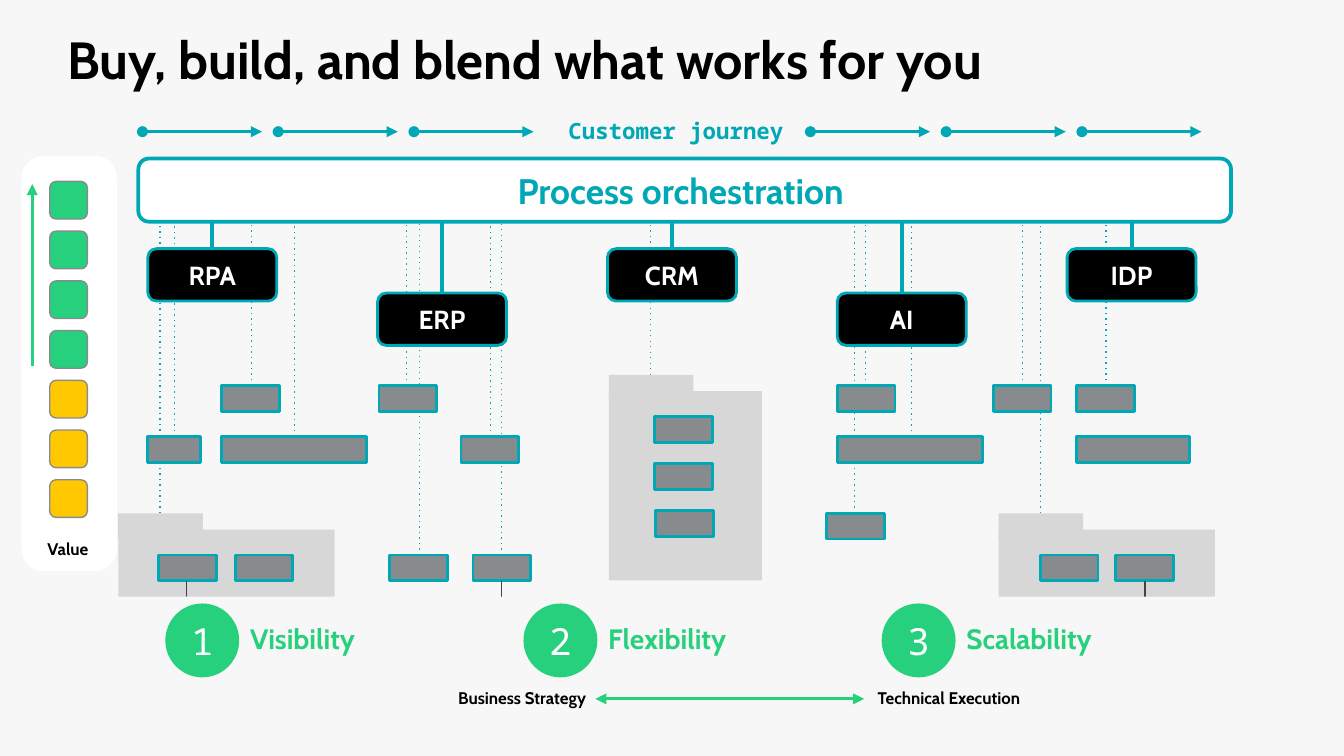
import collections
import lxml.etree
import pptx
import pptx.dml.color
import pptx.enum.shapes
import pptx.enum.text
import pptx.oxml.ns
import pptx.util

COLORS = {
    "page": "F7F7F7", "teal": "00A7B5", "green": "26D07C", "yellow": "FFC800",
    "gray": "888B8D", "folder": "D7D7D7", "dark": "434343",
    "white": "FFFFFF", "black": "000000",
}
SANS, MONO = "Cabin", "Noto Sans Mono"
CELL = 0.1
SHAPES = pptx.enum.shapes.MSO_SHAPE
LINES = pptx.enum.shapes.MSO_CONNECTOR
ALIGN = pptx.enum.text.PP_ALIGN
ANCHOR = pptx.enum.text.MSO_ANCHOR
Box = collections.namedtuple("Box", "left top width height")


def cells(count):
    return pptx.util.Inches(count * CELL)


def color(name):
    return pptx.dml.color.RGBColor.from_string(COLORS[name])


def inside(box, left, top, width, height):
    return Box(box.left + left, box.top + top, width, height)


def write(shape, text, size, ink, font=SANS, bold=True, align=ALIGN.CENTER,
          anchor=ANCHOR.TOP, insets=(0, 0), spacing=None):
    frame = shape.text_frame
    frame.word_wrap = True
    frame.auto_size = pptx.enum.text.MSO_AUTO_SIZE.NONE
    frame.vertical_anchor = anchor
    frame.margin_left = frame.margin_right = cells(insets[0])
    frame.margin_top = frame.margin_bottom = cells(insets[1])
    para = frame.paragraphs[0]
    para.alignment = align
    if spacing:
        para.line_spacing = spacing
    span = para.add_run()
    span.text = text
    span.font.name = font
    span.font.size = pptx.util.Pt(size)
    span.font.bold = bold
    span.font.color.rgb = color(ink)


def add_label(page, box, text, size, ink, **style):
    label = page.shapes.add_textbox(*map(cells, box))
    style = {"insets": (0.7, 0.4), "spacing": 0.85, **style}
    write(label, text, size, ink, **style)


def add_block(page, kind, box, fill, outline=None, weight=1.5, corner=None):
    block = page.shapes.add_shape(kind, *map(cells, box))
    block.shadow.inherit = False
    block.fill.solid()
    block.fill.fore_color.rgb = color(fill)
    if outline:
        block.line.color.rgb = color(outline)
        block.line.width = pptx.util.Pt(weight)
    else:
        block.line.fill.background()
    if corner:
        block.adjustments[0] = corner
    return block


def add_line(page, box, start, end, ink, weight, kind=LINES.STRAIGHT,
             dash=None, head=None, tail=None):
    ends = [cells(side + step) for point in (start, end)
            for side, step in zip((box.left, box.top), point)]
    line = page.shapes.add_connector(kind, *ends)
    line.line.color.rgb = color(ink)
    line.line.width = pptx.util.Pt(weight)
    outline = line.get_or_add_ln()
    details = (("a:prstDash", "val", dash), ("a:headEnd", "type", head),
               ("a:tailEnd", "type", tail))
    for tag, key, value in details:
        if value:
            lxml.etree.SubElement(outline, pptx.oxml.ns.qn(tag)).set(key, value)
    lxml.etree.SubElement(line._element.spPr, pptx.oxml.ns.qn("a:effectLst"))


def place_title(page, box):
    title = page.shapes.title
    title.left, title.top, title.width, title.height = map(cells, box)
    write(title, "Buy, build, and blend what works for you", 28, "black",
          align=ALIGN.LEFT)


def draw_journey(page, box):
    add_label(page, inside(box, 21.9, 0, 35.6, 4), "Customer journey", 12, "teal",
              font=MONO, insets=(1, 1), spacing=None)
    for side in (0, 49.7):
        for step in range(3):
            left = side + step * 10.1
            add_line(page, box, (left, 2.1), (left + 8.9, 2.1), "teal", 1.5,
                     head="oval", tail="triangle")


def draw_folder(page, box):
    add_block(page, SHAPES.RECTANGLE,
              inside(box, 0, 1.2, box.width, box.height - 1.2), "folder")
    add_block(page, SHAPES.RECTANGLE, inside(box, 0, 0, 6.3, 1.9), "folder")


def draw_orchestration(page, box):
    bar_bottom = 4.7
    bar = add_block(page, SHAPES.ROUNDED_RECTANGLE,
                    inside(box, 1.5, 0, 81.3, bar_bottom),
                    "white", "teal", 2, 0.169)
    write(bar, "Process orchestration ", 19, "teal", anchor=ANCHOR.MIDDLE,
          insets=(0.7, 0.4))

    threads = {
        16.1: (39.6,),
        16.9: (9.9, 21.45, 55.6, 67.3, 73.5),
        20.7: (4.2, 13.1, 27.7, 59),
        26.4: (3.1, 54.8, 68.6),
        29.5: (22.4, 28.5),
    }
    for depth, columns in threads.items():
        for left in columns:
            add_line(page, box, (left, depth), (left, bar_bottom), "teal", 0.75,
                     dash="dot")

    for index, name in enumerate(("RPA", "ERP", "CRM", "AI", "IDP")):
        left, top = 2.2 + index * 17.1, (6.7, 10)[index % 2]
        add_line(page, box, (left + 4.8, top), (left + 4.8, bar_bottom), "teal", 2.25)
        system = add_block(page, SHAPES.ROUNDED_RECTANGLE,
                           inside(box, left, top, 9.6, 3.9),
                           "black", "teal", 1.5, 0.167)
        write(system, name, 14, "white", anchor=ANCHOR.MIDDLE)

    for folder in ((0, 26.4, 16.1, 10.3), (36.5, 16.1, 11.4, 15.3),
                   (65.5, 26.4, 16.1, 10.3)):
        draw_folder(page, inside(box, *folder))

    short, usual, medium, wide = 3.9, 4.3, 8.4, 10.8
    tasks = {
        16.9: ((7.7, usual), (19.4, usual), (53.5, usual), (65.1, usual),
               (71.3, usual)),
        19.2: ((39.9, usual),),
        20.7: ((2.2, short), (7.7, wide), (25.5, usual), (53.5, wide),
               (71.3, medium)),
        22.7: ((39.9, usual),),
        26.2: ((40, usual),),
        26.4: ((52.7, usual),),
        29.5: ((3, usual), (8.7, usual), (20.2, usual), (26.4, usual),
               (68.6, usual), (74.2, usual)),
    }
    for top, row in tasks.items():
        for left, width in row:
            add_block(page, SHAPES.RECTANGLE, inside(box, left, top, width, 1.9),
                      "gray", "teal")
    for left in (5.1, 28.5, 76.4):
        add_line(page, box, (left, 31.4), (left, 33), "dark", 0.75, LINES.ELBOW)


def draw_strategy(page, box):
    add_label(page, inside(box, 0, 0, 12.1, 2), "Business Strategy", 9, "black",
              align=ALIGN.RIGHT)
    add_line(page, box, (12.1, 1), (32.1, 1), "green", 1.5,
             head="triangle", tail="triangle")
    add_label(page, inside(box, 32.4, 0, 16.3, 2), "Technical Execution", 9, "black",
              align=ALIGN.LEFT)


def draw_value(page, box):
    add_block(page, SHAPES.ROUNDED_RECTANGLE, box, "white", corner=0.233)
    for index, fill in enumerate(["green"] * 4 + ["yellow"] * 3):
        add_block(page, SHAPES.ROUNDED_RECTANGLE,
                  inside(box, 2.1, 1.9 + index * 3.7, 2.8, 2.8),
                  fill, "gray", 0.75, 0.167)
    add_line(page, box, (0.8, 15.6), (0.8, 2.1), "green", 1.5, tail="triangle")
    add_label(page, inside(box, -0.4, 28.3, 7.7, 2), "Value", 9, "black")


def draw_pillars(page, box):
    add_block(page, SHAPES.RECTANGLE, box, "page")
    for index, name in enumerate(("Visibility", "Flexibility", "Scalability")):
        left = 12.1 + index * 26.65
        add_label(page, inside(box, left + 5.6, 1.8, 23.2, 2.9), name, 15, "green",
                  align=ALIGN.LEFT)
        badge = add_block(page, SHAPES.OVAL, inside(box, left, 0.5, 5.5, 5.5), "green")
        write(badge, str(index + 1), 20, "white", font=MONO, bold=False,
              anchor=ANCHOR.MIDDLE)


def main():
    deck = pptx.Presentation()
    deck.slide_width, deck.slide_height = cells(100), cells(56.25)
    page = deck.slides.add_slide(deck.slide_layouts[5])
    page.background.fill.solid()
    page.background.fill.fore_color.rgb = color("page")
    draw_journey(page, Box(10.6, 7.7, 78.8, 4))
    draw_orchestration(page, Box(8.8, 11.8, 82.8, 36.7))
    place_title(page, Box(5, 2, 90, 8.5))
    draw_strategy(page, Box(32.2, 51, 48.7, 2))
    draw_value(page, Box(1.6, 11.6, 7.1, 30.9))
    draw_pillars(page, Box(0.2, 44.4, 99.5, 6.5))
    deck.save("out.pptx")


if __name__ == "__main__":
    main()
